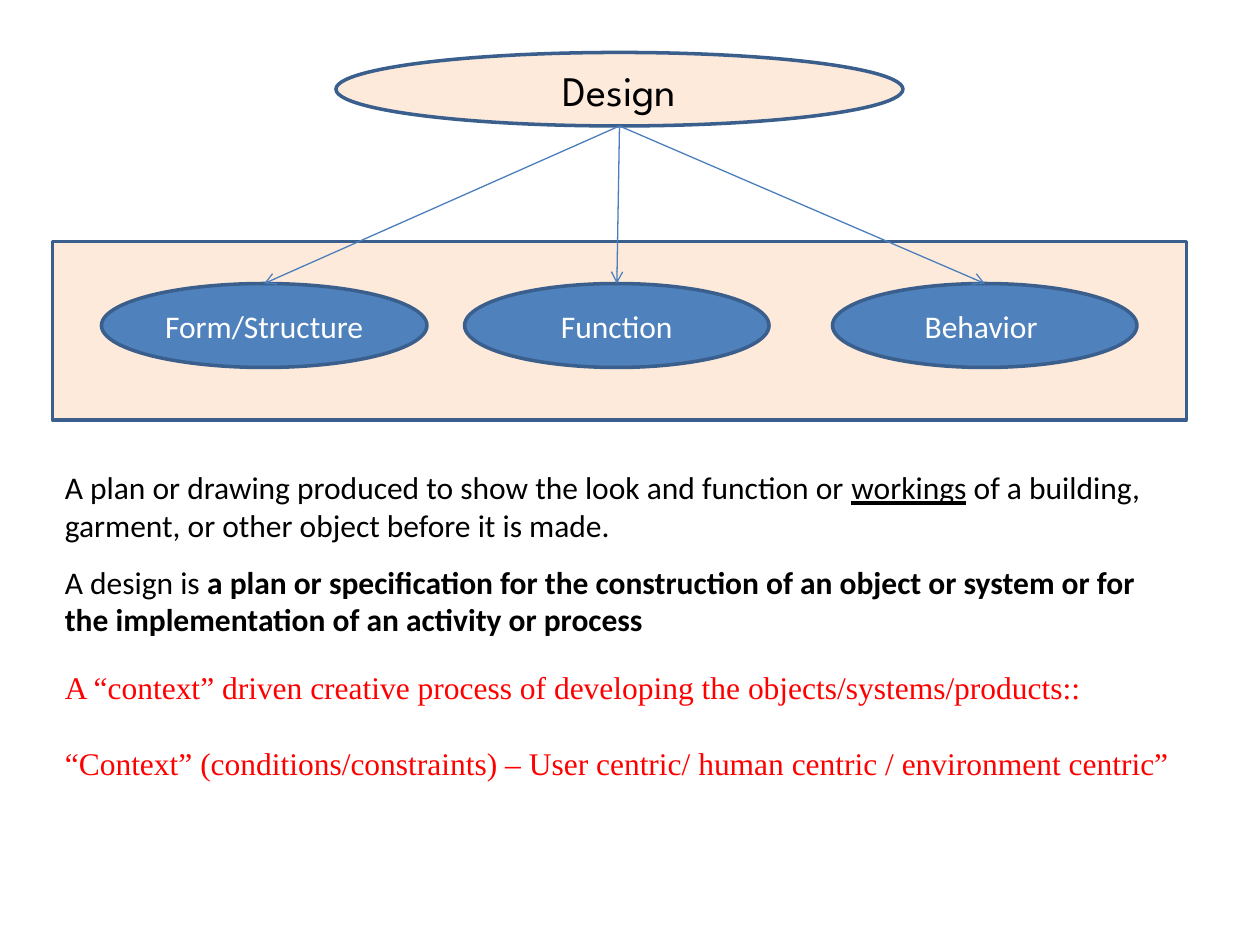
from dataclasses import dataclass

from lxml.etree import SubElement
from pptx import Presentation
from pptx.dml.color import RGBColor
from pptx.enum.shapes import MSO_CONNECTOR, MSO_SHAPE
from pptx.enum.text import MSO_ANCHOR, PP_ALIGN
from pptx.oxml.ns import qn
from pptx.util import Pt


@dataclass(frozen=True)
class Theme:
    peach: str = "FDEADA"
    blue: str = "4F81BD"
    edge: str = "3A5F8C"
    arrow: str = "4B7EBC"
    black: str = "000000"
    white: str = "FFFFFF"
    red: str = "FF0000"
    sans: str = "Calibri"
    serif: str = "Times New Roman"
    title: str = "League Spartan"
    body: float = 18
    head: float = 24
    thick: float = 2
    thin: float = 0.75


@dataclass(frozen=True)
class Box:
    left: float
    top: float
    width: float
    height: float

    @property
    def mid(self) -> float:
        return self.left + self.width / 2


@dataclass(frozen=True)
class Run:
    text: str
    bold: bool = False
    under: bool = False


@dataclass(frozen=True)
class Note:
    box: Box
    lines: list[list[Run]]
    font: str
    color: str


THEME = Theme()


def write(frame, lines: list[list[Run]], *, font: str, color: str,
          size: float = THEME.body, align=PP_ALIGN.LEFT,
          anchor=MSO_ANCHOR.TOP, gap: float = 0) -> None:
    frame.word_wrap = True
    frame.vertical_anchor = anchor
    for i, runs in enumerate(lines):
        para = frame.paragraphs[0] if i == 0 else frame.add_paragraph()
        para.alignment = align
        if i:
            para.space_before = Pt(gap)
        for item in runs:
            run = para.add_run()
            run.text = item.text
            run.font.name = font
            run.font.size = Pt(size)
            run.font.color.rgb = RGBColor.from_string(color)
            run.font.bold = item.bold
            run.font.underline = item.under


def place(box: Box) -> list[int]:
    return [Pt(n) for n in (box.left, box.top, box.width, box.height)]


def draw(slide, kind, box: Box, fill: str):
    shape = slide.shapes.add_shape(kind, *place(box))
    shape.shadow.inherit = False
    shape.fill.solid()
    shape.fill.fore_color.rgb = RGBColor.from_string(fill)
    shape.line.color.rgb = RGBColor.from_string(THEME.edge)
    shape.line.width = Pt(THEME.thick)
    return shape


def oval(slide, box: Box, text: str, *, fill: str, **form) -> None:
    shape = draw(slide, MSO_SHAPE.OVAL, box, fill)
    write(shape.text_frame, [[Run(text)]], align=PP_ALIGN.CENTER,
          anchor=MSO_ANCHOR.MIDDLE, **form)


def link(slide, start: Box, end: Box) -> None:
    line = slide.shapes.add_connector(
        MSO_CONNECTOR.STRAIGHT, Pt(start.mid), Pt(start.top + start.height),
        Pt(end.mid), Pt(end.top))
    line.line.color.rgb = RGBColor.from_string(THEME.arrow)
    line.line.width = Pt(THEME.thin)
    SubElement(line.line._get_or_add_ln(), qn("a:tailEnd"), type="arrow")
    SubElement(line._element.spPr, qn("a:effectLst"))


def main() -> None:
    deck = Presentation()
    deck.slide_width, deck.slide_height = Pt(720), Pt(540)
    slide = deck.slides.add_slide(deck.slide_layouts[6])

    # Panel and root
    draw(slide, MSO_SHAPE.RECTANGLE, Box(30, 138, 648, 102), THEME.peach)
    root = Box(192, 30, 324, 42)
    oval(slide, root, "Design", fill=THEME.peach, font=THEME.title,
         color=THEME.black, size=THEME.head)

    # Three aspects of design
    parts = [("Form/Structure", 58, 186), ("Function", 265.5, 174),
             ("Behavior ", 475.75, 174)]
    leaves = [Box(left, 162, width, 48) for _, left, width in parts]
    for (name, _, _), leaf in zip(parts, leaves):
        oval(slide, leaf, name, fill=THEME.blue, font=THEME.sans,
             color=THEME.white)
    for leaf in leaves:
        link(slide, root, leaf)

    # Definitions
    notes = [
        Note(Box(30, 264, 642, 51), [[
            Run("A plan or drawing produced to show the look and function or "),
            Run("workings", under=True),
            Run(" of a building, garment, or other object before it is made."),
        ]], THEME.sans, THEME.black),
        Note(Box(30, 318, 642, 51), [[
            Run("A design is "),
            Run("a plan or specification for the construction of an object or "
                "system or for the implementation of an activity or process",
                bold=True),
        ]], THEME.sans, THEME.black),
        Note(Box(30, 378, 648, 94), [
            [Run("A “context” driven creative process of developing the "
                 "objects/systems/products::")],
            [Run("“Context” (conditions/constraints) – User centric/ human "
                 "centric / environment centric”")],
        ], THEME.serif, THEME.red),
    ]
    for note in notes:
        area = slide.shapes.add_textbox(*place(note.box))
        write(area.text_frame, note.lines, font=note.font, color=note.color,
              gap=22)

    deck.save("out.pptx")


if __name__ == "__main__":
    main()
